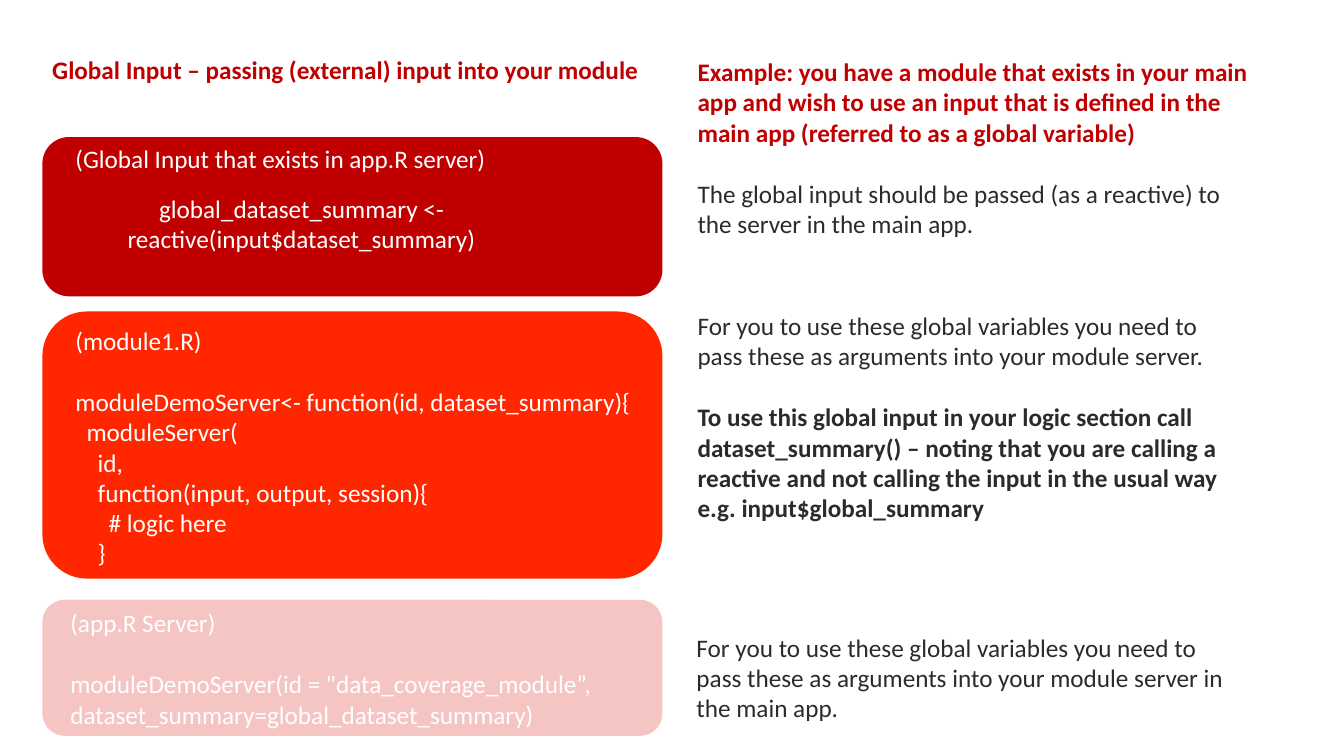
from pptx import Presentation
from pptx import util as u
from pptx.dml.color import RGBColor
from pptx.enum import shapes, text

RED, ORANGE, PINK = "C00000", "FF2600", "F5C5C4"
WHITE, DARK = "FFFFFF", "2B2B2B"
CARD_LEFT, CARD_WIDTH = 0.42, 6.15
NOTE_LEFT, NOTE_WIDTH = 6.82, 5.43


def rgb(value):
    """Turn a hex string into a colour."""
    return RGBColor.from_string(value)


class SlideBuilder:
    """Hold the text style and the current slide."""

    font, size, line_gap, indent = "Calibri", 18, 22, 0.11

    def __init__(self, slide):
        """Keep the slide that receives the elements."""
        self.s = slide

    def card(self, top, height, fill):
        """Add a rounded card in the left column."""
        sp = self.s.shapes.add_shape(
            shapes.MSO_SHAPE.ROUNDED_RECTANGLE, u.Inches(CARD_LEFT),
            u.Inches(top), u.Inches(CARD_WIDTH), u.Inches(height))
        sp.shadow.inherit = False
        sp.fill.solid()
        sp.fill.fore_color.rgb = rgb(fill)
        sp.line.fill.background()

    def text(self, left, top, width, height, lines, color,
             bold=False, align=text.PP_ALIGN.LEFT):
        """Add a text box and return its paragraphs, one per line."""
        box = self.s.shapes.add_textbox(
            u.Inches(left), u.Inches(top), u.Inches(width), u.Inches(height))
        tf = box.text_frame
        tf.text = "\n".join(lines)
        tf.word_wrap = True
        tf.auto_size = text.MSO_AUTO_SIZE.SHAPE_TO_FIT_TEXT
        for p in tf.paragraphs:
            p.alignment = align
            self.style(p, color, bold)
        return tf.paragraphs

    def style(self, p, color, bold=False):
        """Format the runs of a paragraph."""
        for r in p.runs:
            r.font.name, r.font.size = self.font, u.Pt(self.size)
            r.font.bold = bold
            r.font.color.rgb = rgb(color)

    def gap(self, p):
        """Leave one line free above a paragraph."""
        p.space_before = u.Pt(self.line_gap)

    def nest(self, p, depth):
        """Indent a line of code by its depth."""
        pPr = p._p.get_or_add_pPr()
        pPr.set("marL", str(u.Inches(self.indent * depth)))
        pPr.set("indent", "0")


def build_cards(b):
    """Add the three code cards with their text."""
    for top, height, fill in ((1.36, 1.58, RED), (3.09, 2.65, ORANGE),
                              (5.95, 1.35, PINK)):
        b.card(top, height, fill)

    b.text(0.65, 1.37, 5.07, 0.4,
           ["(Global Input that exists in app.R server)"], WHITE)
    b.text(0.92, 1.87, 4.14, 0.71,
           ["global_dataset_summary <- reactive(input$dataset_summary)"],
           WHITE, align=text.PP_ALIGN.CENTER)

    module = b.text(0.65, 3.18, 6.15, 2.52, [
        "(module1.R)",
        "moduleDemoServer<- function(id, dataset_summary){",
        "moduleServer(",
        "id,",
        "function(input, output, session){",
        "# logic here",
        "}"], WHITE)
    b.gap(module[1])
    for p, depth in zip(module[2:], (1, 2, 2, 3, 2)):
        b.nest(p, depth)

    app = b.text(0.6, 5.98, 6.67, 1.31, [
        "(app.R Server)",
        "moduleDemoServer(id = \"data_coverage_module\u201d,",
        "dataset_summary=global_dataset_summary)"], WHITE)
    b.gap(app[1])


def build_notes(b):
    """Add the explanations in the right column."""
    usage = ("For you to use these global variables you need to pass these "
             "as arguments into your module server")
    example = b.text(NOTE_LEFT, 0.51, 5.71, 1.92, [
        "Example: you have a module that exists in your main app and wish to "
        "use an input that is defined in the main app (referred to as a "
        "global variable)",
        "The global input should be passed (as a reactive) to the server in "
        "the main app."], DARK)
    b.style(example[0], RED, bold=True)
    b.gap(example[1])

    call = b.text(NOTE_LEFT, 3.03, NOTE_WIDTH, 2.53, [
        usage + ".",
        "To use this global input in your logic section call "
        "dataset_summary() \u2013 noting that you are calling a reactive and "
        "not calling the input in the usual way e.g. input$global_summary"],
        DARK)
    b.style(call[1], DARK, bold=True)
    b.gap(call[1])

    b.text(NOTE_LEFT - 0.01, 6.22, NOTE_WIDTH, 1.32,
           [usage + " in the main app."], DARK)


def main():
    """Build the slide and save it."""
    prs = Presentation()
    prs.slide_width, prs.slide_height = u.Inches(13.33), u.Inches(7.5)
    b = SlideBuilder(prs.slides.add_slide(prs.slide_layouts[6]))
    b.text(CARD_LEFT, 0.49, 6.67, 0.4,
           ["Global Input \u2013 passing (external) input into your module"],
           RED, bold=True)
    build_cards(b)
    build_notes(b)
    prs.save("out.pptx")


main()
